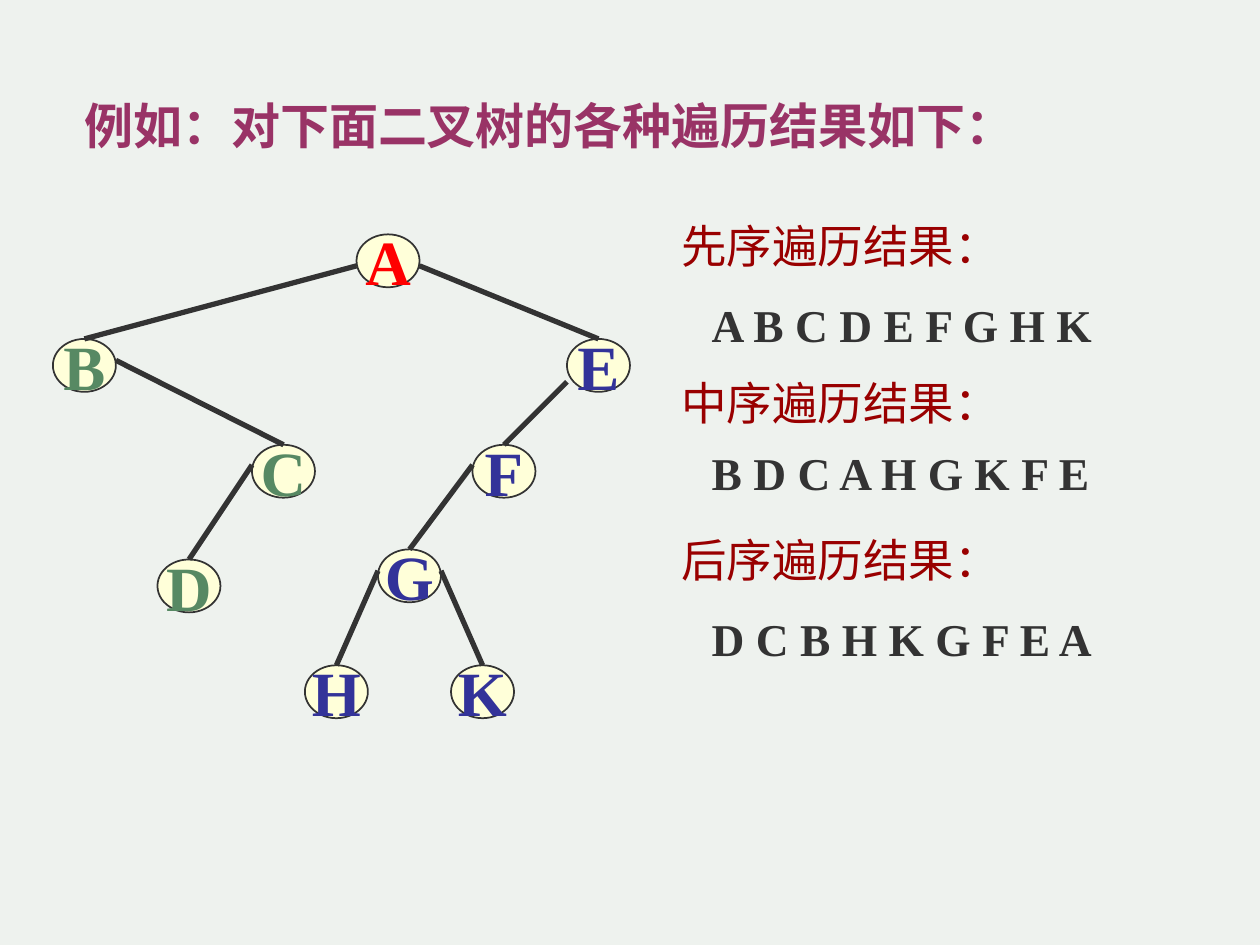
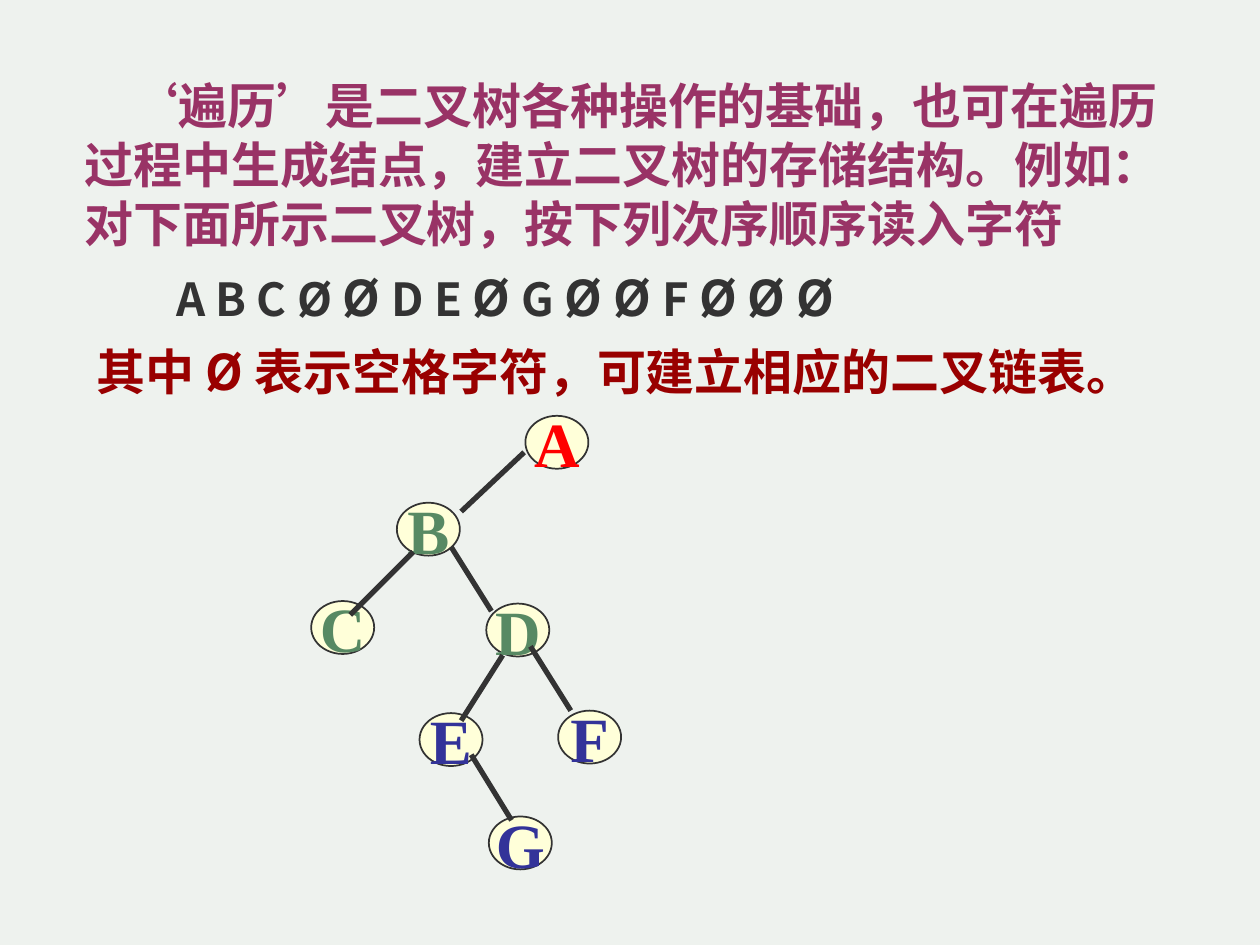
from lxml.etree import SubElement
from pptx import Presentation
from pptx.dml.color import RGBColor
from pptx.enum.shapes import MSO_CONNECTOR as Conn, MSO_SHAPE as Shape
from pptx.enum.text import MSO_ANCHOR as Anchor, MSO_AUTO_SIZE as Auto, PP_ALIGN as Align
from pptx.oxml.ns import qn
from pptx.util import Inches, Pt

CJK, SERIF = "Noto Sans CJK SC", "Times New Roman"
INK, PAPER, CREAM = "333333", "EEF2EE", "FFFFD9"
PLUM, MAROON = "993366", "990000"
RED, GREEN, BLUE = "FF0000", "578963", "333399"
COLS, ROWS = 100, 75
NODE_W, NODE_H = 5, 4.2


def rgb(code):
    return RGBColor.from_string(code)


class Deck:
    """Shared style and the current slide; lengths are grid columns and rows."""

    def __init__(self):
        self.prs = Presentation()
        self.prs.slide_width, self.prs.slide_height = Inches(10), Inches(7.5)
        fill = self.prs.slide_master.background.fill
        fill.solid()
        fill.fore_color.rgb = rgb(PAPER)
        self.s = None

    def x(self, cols):
        return int(self.prs.slide_width * cols / COLS)

    def y(self, rows):
        return int(self.prs.slide_height * rows / ROWS)

    def box(self, left, top, width, height):
        return self.x(left), self.y(top), self.x(width), self.y(height)

    def font(self, font, size, color, name, bold):
        font.size, font.bold, font.name = Pt(size), bold, name
        font.color.rgb = rgb(color)
        SubElement(font._rPr, qn("a:ea")).set("typeface", CJK)

    def frame(self, sp, wrap, size):
        """Prepare a top-anchored text frame with fixed line pitch."""
        tf = sp.text_frame
        tf.auto_size, tf.word_wrap = Auto.NONE, wrap
        tf.vertical_anchor, tf.margin_top = Anchor.TOP, Inches(0.08)
        p = tf.paragraphs[0]
        p.alignment, p.line_spacing = Align.LEFT, Pt(1.2 * size)
        return p

    def slide(self, title, at, indent=0):
        self.s = self.prs.slides.add_slide(self.prs.slide_layouts[5])
        sp = self.s.shapes.title
        sp.left, sp.top, sp.width, sp.height = self.box(*at)
        p = self.frame(sp, True, 28)
        p.text = title
        if indent:
            p._p.get_or_add_pPr().set("indent", str(self.x(indent)))
        self.font(p.font, 28, PLUM, CJK, True)

    def text(self, at, words, size, color, name=CJK, bold=True):
        sp = self.s.shapes.add_textbox(*self.box(*at))
        p = self.frame(sp, False, size)
        p.text = words
        self.font(p.font, size, color, name, bold)

    def sequence(self, at, parts):
        """Write one line of (words, size) runs."""
        sp = self.s.shapes.add_textbox(*self.box(*at))
        p = self.frame(sp, False, 28)
        for words, size in parts:
            r = p.add_run()
            r.text = words
            self.font(r.font, size, INK, CJK, True)

    def node(self, letter, cx, cy):
        at = self.box(cx - NODE_W / 2, cy - NODE_H / 2, NODE_W, NODE_H)
        sp = self.s.shapes.add_shape(Shape.OVAL, *at)
        sp.shadow.inherit = False
        sp.fill.solid()
        sp.fill.fore_color.rgb = rgb(CREAM)
        sp.line.color.rgb, sp.line.width = rgb(INK), Pt(1)
        tf = sp.text_frame
        tf.word_wrap, tf.vertical_anchor = False, Anchor.MIDDLE
        p = tf.paragraphs[0]
        p.text, p.alignment = letter, Align.CENTER
        color = RED if letter == "A" else GREEN if letter in "BCD" else BLUE
        self.font(p.font, 36, color, SERIF, True)

    def edge(self, start, end):
        line = self.s.shapes.add_connector(
            Conn.STRAIGHT, self.x(start[0]), self.y(start[1]), self.x(end[0]), self.y(end[1]))
        line.line.color.rgb, line.line.width = rgb(INK), Pt(3)
        SubElement(line._element.spPr, qn("a:effectLst"))

    def tree(self, nodes, edges):
        """Draw nodes by centre; an edge is (pair, offset from parent, offset from child)."""
        for letter, centre in nodes.items():
            self.node(letter, *centre)
        for (parent, child), (dx, dy), (ex, ey) in edges:
            (px, py), (cx, cy) = nodes[parent], nodes[child]
            self.edge((px + dx, py + dy), (cx + ex, cy + ey))


def traversal_slide(deck):
    deck.slide("例如：对下面二叉树的各种遍历结果如下：", (5.7, 6.8, 85.2, 5.7))
    nodes = {"A": (30.8, 20.7), "B": (6.7, 29), "C": (22.5, 37.4), "D": (15, 46.5),
             "E": (47.5, 29), "F": (40, 37.4), "G": (32.5, 45.7),
             "H": (26.7, 54.9), "K": (38.3, 54.9)}
    drops = {"AB": 0.4, "BC": -0.4, "CD": -0.5, "AE": 0.4,
             "EF": 1.3, "FG": -0.5, "GH": -0.4, "GK": -0.4}
    edges = []
    for pair, drop in drops.items():
        to_right = nodes[pair[1]][0] > nodes[pair[0]][0]
        side = NODE_W / 2 if to_right else -NODE_W / 2
        edges.append((pair, (side, drop), (0, -NODE_H / 2)))
    deck.tree(nodes, edges)
    results = [("先序遍历结果：", 16.5, "A B C D E F G H K", 22.8),
               ("中序遍历结果：", 29, "B D C A H G K F E", 34.5),
               ("后序遍历结果：", 41.4, "D C B H K G F E A", 47.7)]
    for label, label_top, order, order_top in results:
        deck.text((53.1, label_top, 27.4, 5.3), label, 26, MAROON, SERIF, False)
        deck.text((55.5, order_top, 32.5, 5.3), order, 26, INK, SERIF)


def building_slide(deck):
    deck.slide("‘遍历’是二叉树各种操作的基础，也可在遍历过程中生成结点，建立二叉树的存储结构。"
               "例如：对下面所示二叉树，按下列次序顺序读入字符", (5.7, 5.2, 89.1, 15), indent=3.6)
    deck.sequence((13, 20.4, 56.5, 5.7), [
        ("A B C Ø ", 26), ("Ø ", 28), ("D E ", 26), ("Ø ", 28), ("G ", 26),
        ("Ø Ø ", 28), ("F ", 26), ("Ø", 28), (" ", 26), ("Ø Ø", 28)])
    deck.text((6.7, 26.3, 86, 5.7), "其中 Ø 表示空格字符，可建立相应的二叉链表。", 28, MAROON)
    nodes = {"A": (44.2, 35.1), "B": (34, 42), "C": (27.2, 49.8), "D": (41.1, 50),
             "E": (35.8, 58.7), "F": (46.8, 58.5), "G": (41.3, 66.9)}
    deck.tree(nodes, [("AB", (-2.6, 0.8), (2.6, -1.4)),
                      ("BC", (-1.2, 1.8), (0.6, -1)),
                      ("BD", (1.8, 1.4), (-2.1, -1.5)),
                      ("DE", (-1.2, 2), (0.8, -1.5)),
                      ("DF", (1, 1.3), (-1.5, -2.1)),
                      ("EG", (1.6, 1.2), (-0.7, -1.8))])


def main():
    deck = Deck()
    traversal_slide(deck)
    building_slide(deck)
    deck.prs.save("out.pptx")


if __name__ == "__main__":
    main()
